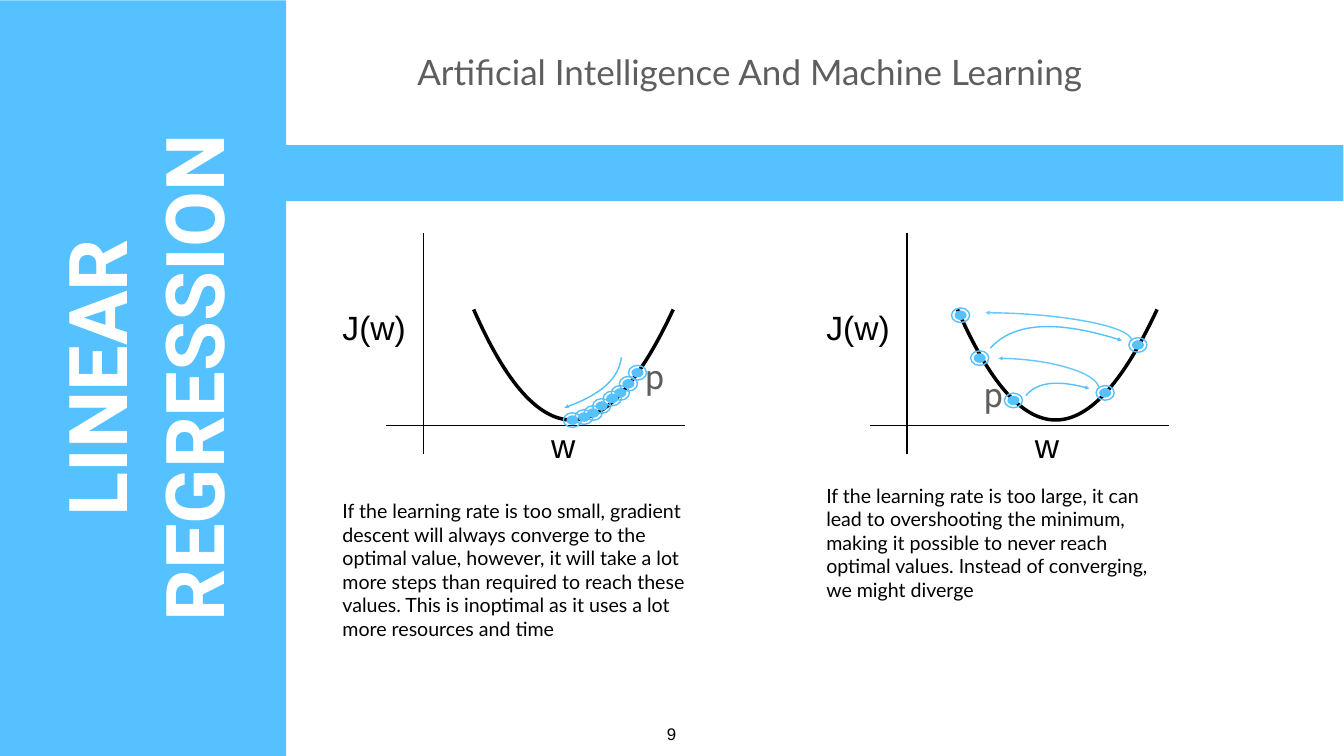
import math

import pptx
import pptx.util
import pptx.dml.color
import pptx.enum.shapes
import pptx.enum.text
import pptx.oxml
from lxml import etree

WIDTH, HEIGHT = 26.67, 15
PANEL_STEP = WIDTH * 0.36
INSET = 4
RING = (0.36, 0.29)
CORE = (0.24, 0.19)
CURVE_STEPS = 40

COLORS = {
    "sky": "56C1FF",
    "light_sky": "66C7FF",
    "white": "FFFFFF",
    "black": "000000",
    "gray": "5E5E5E",
}

TITLE = "LINEAR REGRESSION"
COURSE = "Artificial Intelligence And Machine Learning"
PAGE_NUMBER = "9"

BANDS = [(0, 0.01, 5.68, 14.99), (5.54, 2.88, 21.12, 1.11)]
AXES = [((8.4, 9.01), (8.4, 4.63)), ((7.66, 8.44), (13.59, 8.44))]
COST_CURVE = [(9.4, 6.14), (10.68, 9.07), (12, 9.06), (13.36, 6.14)]
AXIS_LABELS = [("w", (10.88, 8.4, 0.54, 0.88)), ("J(w)", (6.74, 6.05, 1.48, 0.88))]

PANELS = [
    {
        "text": "If the learning rate is too small, gradient descent will always converge "
                "to the optimal value, however, it will take a lot more steps than required "
                "to reach these values. This is inoptimal as it uses a lot more resources and time",
        "text_box": (6.74, 9.4, 7.05, 3.81),
        "start_label": (12.75, 7.01, 0.38, 0.92),
        "steps": [(12.47, 7.25), (12.29, 7.47), (12.13, 7.65), (11.97, 7.76),
                  (11.76, 7.91), (11.59, 8.05), (11.41, 8.13), (11.18, 8.19)],
        "arrows": [
            ("sky", 0, (11.76, 7.59), [(12.33, 7.09), (12.28, 7.51), (11.91, 7.84), (11.2, 8.09)]),
        ],
    },
    {
        "text": "If the learning rate is too large, it can lead to overshooting the minimum, "
                "making it possible to never reach optimal values. Instead of converging, "
                "we might diverge",
        "text_box": (6.74, 9.39, 7.05, 2.75),
        "start_label": (9.87, 7.36, 0.38, 0.92),
        "steps": [(10.33, 7.8), (12.15, 7.65), (9.66, 6.96), (12.8, 6.7), (9.28, 6.11)],
        "arrows": [
            ("sky", 214.9, (11.38, 7.77), [(10.75, 7.83), (10.98, 7.56), (11.4, 7.52), (12.01, 7.69)]),
            ("light_sky", 270, (11.2, 7.4), [(12.2, 7.69), (12.2, 7.4), (11.21, 7.1), (10.21, 7.1)]),
            ("sky", 214.9, (11.35, 6.83), [(10.04, 6.9), (10.5, 6.39), (11.37, 6.34), (12.65, 6.75)]),
            ("light_sky", 270, (11.4, 6.48), [(12.85, 6.75), (12.85, 6.47), (11.4, 6.2), (9.95, 6.2)]),
        ],
    },
]


def inches(*lengths):
    return [pptx.util.Inches(length) for length in lengths]


def shifted(box, shift):
    return (box[0] + shift, *box[1:])


def rgb(color):
    return pptx.dml.color.RGBColor.from_string(COLORS[color])


def write_text(shape, text, size, font, color="black", bold=False, align="LEFT",
               anchor="MIDDLE", wrap=True, right_inset=INSET):
    frame = shape.text_frame
    frame.word_wrap = wrap
    frame.auto_size = pptx.enum.text.MSO_AUTO_SIZE.NONE
    frame.vertical_anchor = getattr(pptx.enum.text.MSO_ANCHOR, anchor)
    frame.margin_left = frame.margin_top = frame.margin_bottom = pptx.util.Pt(INSET)
    frame.margin_right = pptx.util.Pt(right_inset)
    paragraph = frame.paragraphs[0]
    paragraph.alignment = getattr(pptx.enum.text.PP_ALIGN, align)
    run = paragraph.add_run()
    run.text = text
    run.font.size = pptx.util.Pt(size)
    run.font.name = font
    run.font.bold = bold
    run.font.color.rgb = rgb(color)


def add_text(shapes, box, text, **style):
    write_text(shapes.add_textbox(*inches(*box)), text, **style)


def style_shape(shape, fill=None, line=None, width=2):
    shape.shadow.inherit = False
    if fill:
        shape.fill.solid()
        shape.fill.fore_color.rgb = rgb(fill)
    else:
        shape.fill.background()
    if line:
        shape.line.color.rgb = rgb(line)
        shape.line.width = pptx.util.Pt(width)
    else:
        shape.line.fill.background()


def add_preset(shapes, kind, box, **style):
    preset = getattr(pptx.enum.shapes.MSO_SHAPE, kind)
    style_shape(shapes.add_shape(preset, *inches(*box)), **style)


def add_axis(shapes, start, end):
    straight = pptx.enum.shapes.MSO_CONNECTOR.STRAIGHT
    axis = shapes.add_connector(straight, *inches(*start, *end))
    axis.line.color.rgb = rgb("black")
    axis.line.width = pptx.util.Pt(2)
    etree.SubElement(axis.element.spPr, pptx.oxml.ns.qn("a:effectLst"))


def bezier_point(controls, t):
    weights = ((1 - t) ** 3, 3 * t * (1 - t) ** 2, 3 * t ** 2 * (1 - t), t ** 3)
    return [sum(weight * control[axis] for weight, control in zip(weights, controls))
            for axis in (0, 1)]


def turned(point, center, degrees):
    angle = math.radians(degrees)
    x, y = point[0] - center[0], point[1] - center[1]
    return (center[0] + x * math.cos(angle) - y * math.sin(angle),
            center[1] + x * math.sin(angle) + y * math.cos(angle))


def add_curve(shapes, controls, color, width=2, arrow=False):
    points = [inches(*bezier_point(controls, step / CURVE_STEPS))
              for step in range(CURVE_STEPS + 1)]
    builder = shapes.build_freeform(*points[0])
    builder.add_line_segments(points[1:], close=False)
    curve = builder.convert_to_shape()
    qn = pptx.oxml.ns.qn
    outline = next(curve.element.iter(qn("a:pathLst")))[0]
    for segment in outline.findall(qn("a:lnTo")):
        outline.remove(segment)
    bezier = etree.SubElement(outline, qn("a:cubicBezTo"))
    for control in controls[1:]:
        x, y = inches(*control)
        etree.SubElement(bezier, qn("a:pt"), x=str(x - curve.left), y=str(y - curve.top))
    style_shape(curve, line=color, width=width)
    if arrow:
        line = curve.line._get_or_add_ln()
        etree.SubElement(line, qn("a:tailEnd"), type="triangle")
    return curve


def add_arrow(shapes, color, rotation, center, controls):
    level = [turned(control, center, -rotation) for control in controls]
    add_curve(shapes, level, color, arrow=True).rotation = rotation


def add_step(shapes, left, top):
    group = shapes.add_group_shape().shapes
    add_preset(group, "OVAL", (left, top, *RING), line="sky")
    core_left = left + (RING[0] - CORE[0]) / 2
    core_top = top + (RING[1] - CORE[1]) / 2
    add_preset(group, "OVAL", (core_left, core_top, *CORE), fill="sky")


def add_panel(shapes, panel, shift):
    axes = shapes.add_group_shape().shapes
    for start, end in AXES:
        add_axis(axes, shifted(start, shift), shifted(end, shift))
    add_curve(shapes, [shifted(point, shift) for point in COST_CURVE], "black", 5)
    for color, rotation, center, controls in panel["arrows"]:
        add_arrow(shapes, color, rotation, shifted(center, shift),
                  [shifted(point, shift) for point in controls])
    for label, box in AXIS_LABELS:
        add_text(shapes, shifted(box, shift), label, size=48, font="Arial")
    add_text(shapes, shifted(panel["start_label"], shift), "p",
             size=48, font="Roboto", color="gray")
    add_text(shapes, shifted(panel["text_box"], shift), panel["text"], size=28, font="Lato")
    for step in panel["steps"]:
        add_step(shapes, *shifted(step, shift))


def main():
    presentation = pptx.Presentation()
    presentation.slide_width, presentation.slide_height = inches(WIDTH, HEIGHT)
    slide = presentation.slides.add_slide(presentation.slide_layouts[5])
    shapes = slide.shapes
    for band in BANDS:
        add_preset(shapes, "RECTANGLE", band, fill="sky")

    title = shapes.title
    title.left, title.top, title.width, title.height = inches(-2.66, 4.96, 11.01, 5.08)
    title.rotation = 270
    write_text(title, TITLE, size=116, font="Roboto", color="white", bold=True, align="CENTER")
    shapes._spTree.append(title.element)

    add_text(shapes, (7.6, 0.02, 14.92, 2.79), COURSE, size=50, font="Lato",
             color="gray", align="CENTER", right_inset=30)
    add_text(shapes, (13.17, 14.31, 0.31, 0.5), PAGE_NUMBER,
             size=24, font="Arial", align="CENTER", anchor="TOP", wrap=False)
    for index, panel in enumerate(PANELS):
        add_panel(shapes, panel, index * PANEL_STEP)
    presentation.save("out.pptx")


if __name__ == "__main__":
    main()
